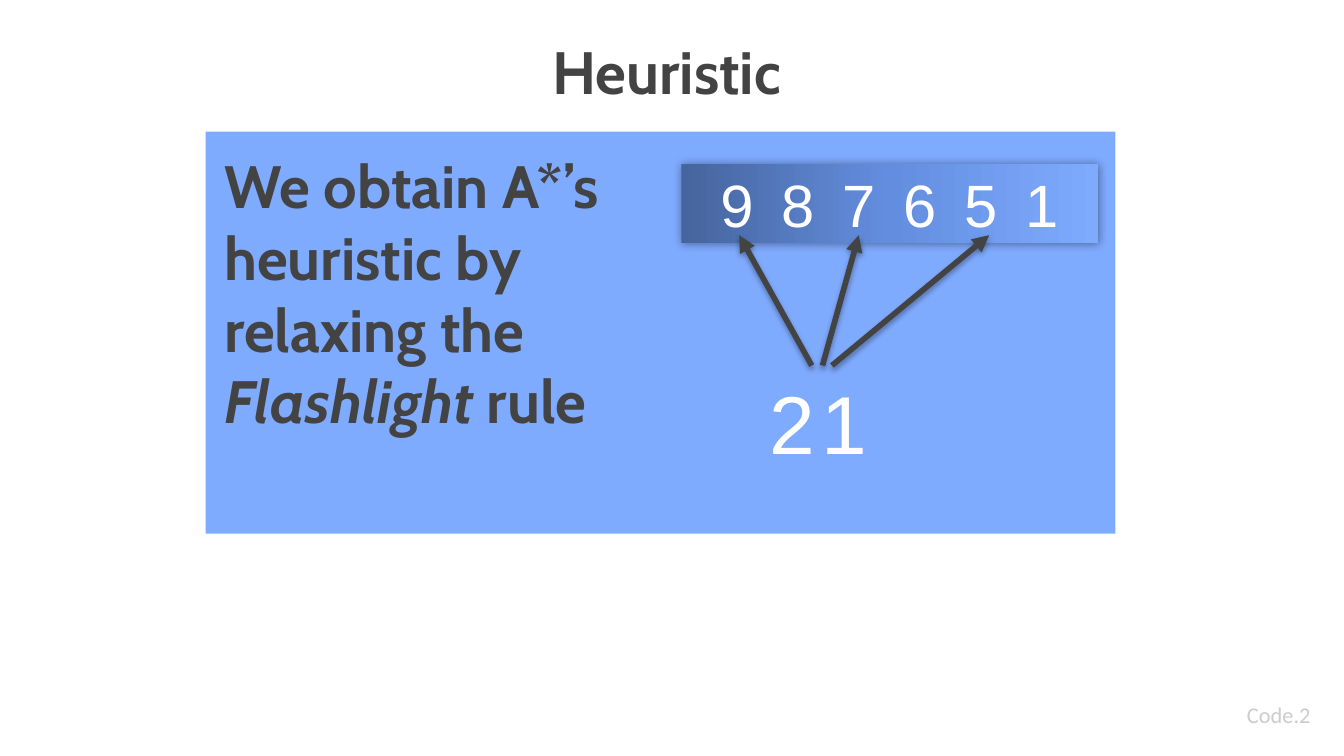
import copy

import pptx
import pptx.dml.color
import pptx.enum.shapes
import pptx.enum.text
import pptx.oxml
import pptx.oxml.ns
import pptx.util
from pptx.util import Inches

# Content
SLIDE_WIDTH = 10
SLIDE_HEIGHT = SLIDE_WIDTH * 9 / 16
DARK, WHITE = "434343", "FFFFFF"
HEADING = {"name": "Cabin", "size": 32, "color": DARK, "bold": True}
DIGITS = {"name": "Arial", "size": 32, "color": WHITE, "spacing": 3}
ANCHOR = pptx.enum.text.MSO_ANCHOR
CENTER = pptx.enum.text.PP_ALIGN.CENTER

# Box, runs as (text, extra format), base format, frame settings
TEXTS = [
    ((9.18, 5.1, 0.77, 0.43), [("Code.2", {})],
     {"name": "Calibri", "size": 12, "color": "CCCCCC"},
     {"vertical_anchor": ANCHOR.MIDDLE}),
    ((4.01, 0.14, 1.98, 0.75), [("Heuristic", {})], HEADING,
     {"vertical_anchor": ANCHOR.BOTTOM}),
    ((1.57, 1.01, 3.43, 2.88),
     [("We obtain A*’s heuristic by relaxing the ", {}),
      ("Flashlight ", {"italic": True}), ("rule", {})], HEADING, {}),
    ((5.63, 2.72, 1.04, 0.84), [("21", {})], DIGITS | {"size": 44},
     {"margin_top": Inches(0.05), "margin_bottom": Inches(0.05)}),
]
PANEL = (1.53, 0.98, 6.77, 2.99)
ROW = (5.07, 1.22, 3.1, 0.59)
ROW_TEXT = "9 8 7 6 5 1"
ROW_GRADIENT = [(0, "46649D"), (0.5, "638EDF"), (1, "7FABFF")]
ARROW_TOP, ARROW_BOTTOM = 1.75, 2.72
ARROWS = [(6.04, 5.5), (6.12, 6.39), (6.19, 7.36)]  # x at 21, x at digit


def rgb(color):
    return pptx.dml.color.RGBColor.from_string(color)


def add_shadow(effects, alpha, blur, distance, angle):
    effects.append(pptx.oxml.parse_xml(
        f'<a:outerShdw {pptx.oxml.ns.nsdecls("a")} '
        f'blurRad="{pptx.util.Pt(blur)}" dist="{pptx.util.Pt(distance)}" '
        f'dir="{angle * 60000}" rotWithShape="0"><a:srgbClr val="000000">'
        f'<a:alpha val="{alpha * 1000}"/></a:srgbClr></a:outerShdw>'))


def add_run(paragraph, text, style):
    run = paragraph.add_run()
    run.text = text
    style = dict(style)
    run.font.color.rgb = rgb(style.pop("color"))
    run.font.size = pptx.util.Pt(style.pop("size"))
    if "spacing" in style:
        run.font._element.set("spc", str(style.pop("spacing") * 100))
    for key, value in style.items():
        setattr(run.font, key, value)


def add_rectangle(slide, box):
    rectangle = slide.shapes.add_shape(
        pptx.enum.shapes.MSO_SHAPE.RECTANGLE, *map(Inches, box))
    rectangle.shadow.inherit = False
    rectangle.line.fill.background()
    return rectangle


def add_text(slide, box, runs, style, settings):
    frame = slide.shapes.add_textbox(*map(Inches, box)).text_frame
    frame.word_wrap = True
    margins = {f"margin_{side}": Inches(0.1)
               for side in ("left", "right", "top", "bottom")}
    for key, value in (margins | settings).items():
        setattr(frame, key, value)
    for text, extra in runs:
        add_run(frame.paragraphs[0], text, style | extra)


def add_digit_row(slide):
    row = add_rectangle(slide, ROW)
    row.fill.gradient()
    row.fill.gradient_angle = 0
    stops = row._element.spPr.find(".//" + pptx.oxml.ns.qn("a:gsLst"))
    stops.insert(1, copy.deepcopy(stops[0]))
    for stop, (position, color) in zip(row.fill.gradient_stops, ROW_GRADIENT):
        stop.position = position
        stop.color.rgb = rgb(color)
    effects = row._element.spPr.find(pptx.oxml.ns.qn("a:effectLst"))
    add_shadow(effects, 40, 5, 0, 0)
    row.text_frame.vertical_anchor = ANCHOR.MIDDLE
    paragraph = row.text_frame.paragraphs[0]
    paragraph.alignment = CENTER
    add_run(paragraph, ROW_TEXT, DIGITS)


def add_arrow(slide, start, end):
    arrow = slide.shapes.add_connector(
        pptx.enum.shapes.MSO_CONNECTOR.STRAIGHT,
        *map(Inches, (start, ARROW_BOTTOM, end, ARROW_TOP)))
    arrow.line.color.rgb = rgb(DARK)
    arrow.line.width = pptx.util.Pt(3)
    declaration = pptx.oxml.ns.nsdecls("a")
    arrow.line._ln.append(pptx.oxml.parse_xml(
        f'<a:tailEnd {declaration} type="triangle"/>'))
    effects = pptx.oxml.parse_xml(f"<a:effectLst {declaration}/>")
    arrow._element.spPr.append(effects)
    add_shadow(effects, 35, 3.1, 1.8, 90)


def main():
    deck = pptx.Presentation()
    deck.slide_width = Inches(SLIDE_WIDTH)
    deck.slide_height = Inches(SLIDE_HEIGHT)
    slide = deck.slides.add_slide(deck.slide_layouts[6])

    # Blue panel behind everything
    panel = add_rectangle(slide, PANEL)
    panel.fill.solid()
    panel.fill.fore_color.rgb = rgb("7FABFF")

    # Digits and the arrows from their sum
    add_digit_row(slide)
    for start, end in ARROWS:
        add_arrow(slide, start, end)

    # Page label, title, statement and sum
    for text in TEXTS:
        add_text(slide, *text)

    deck.save("out.pptx")


if __name__ == "__main__":
    main()
